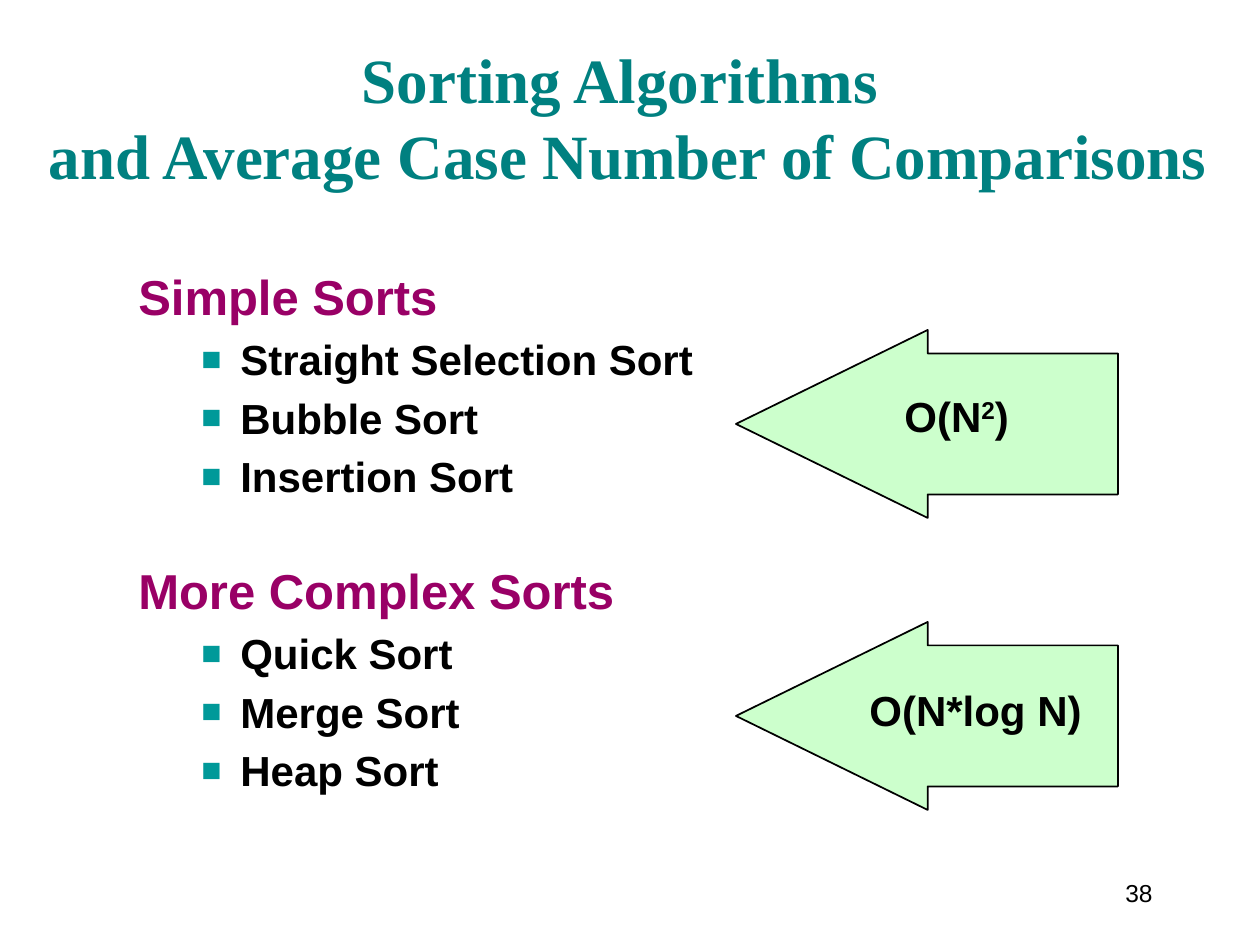
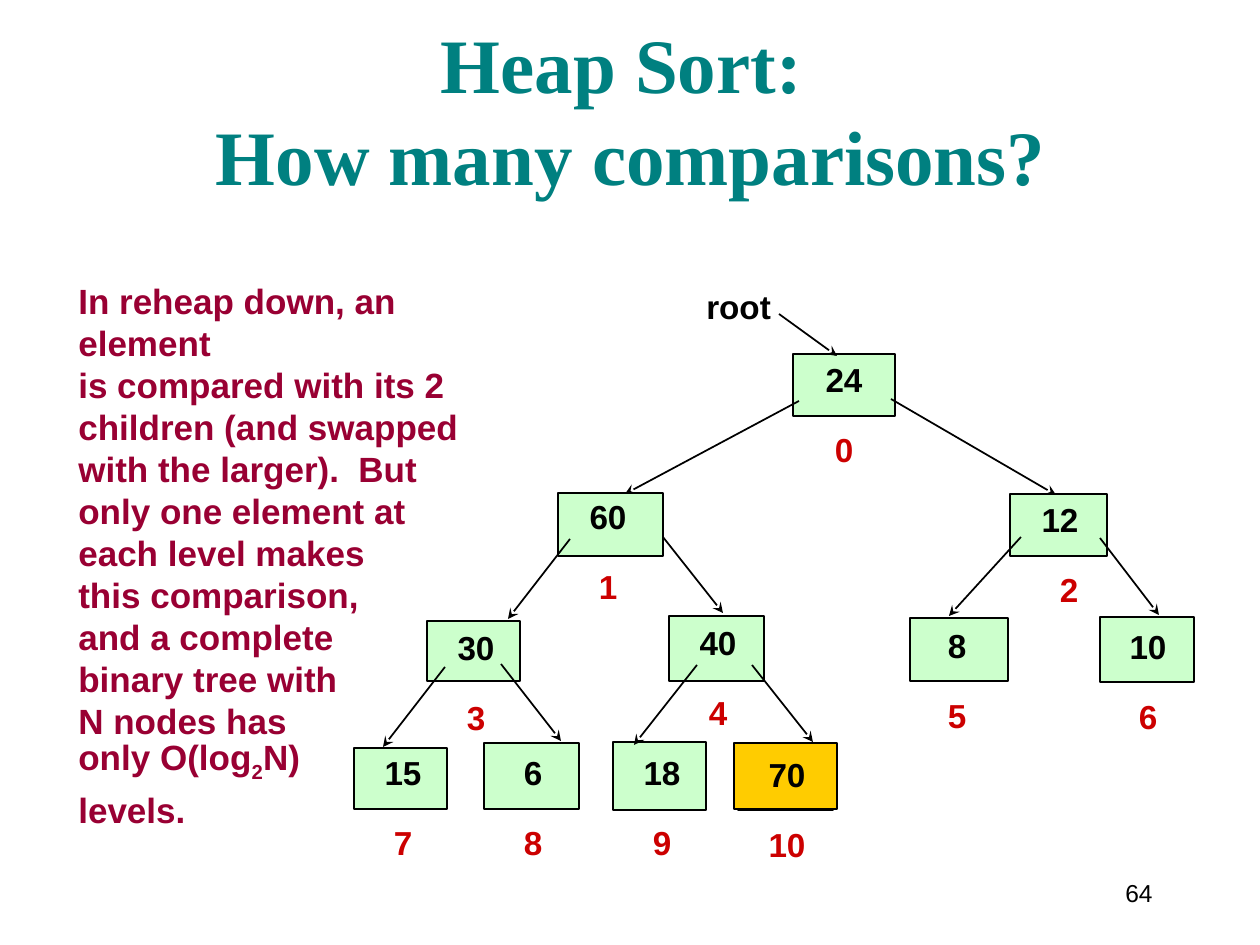
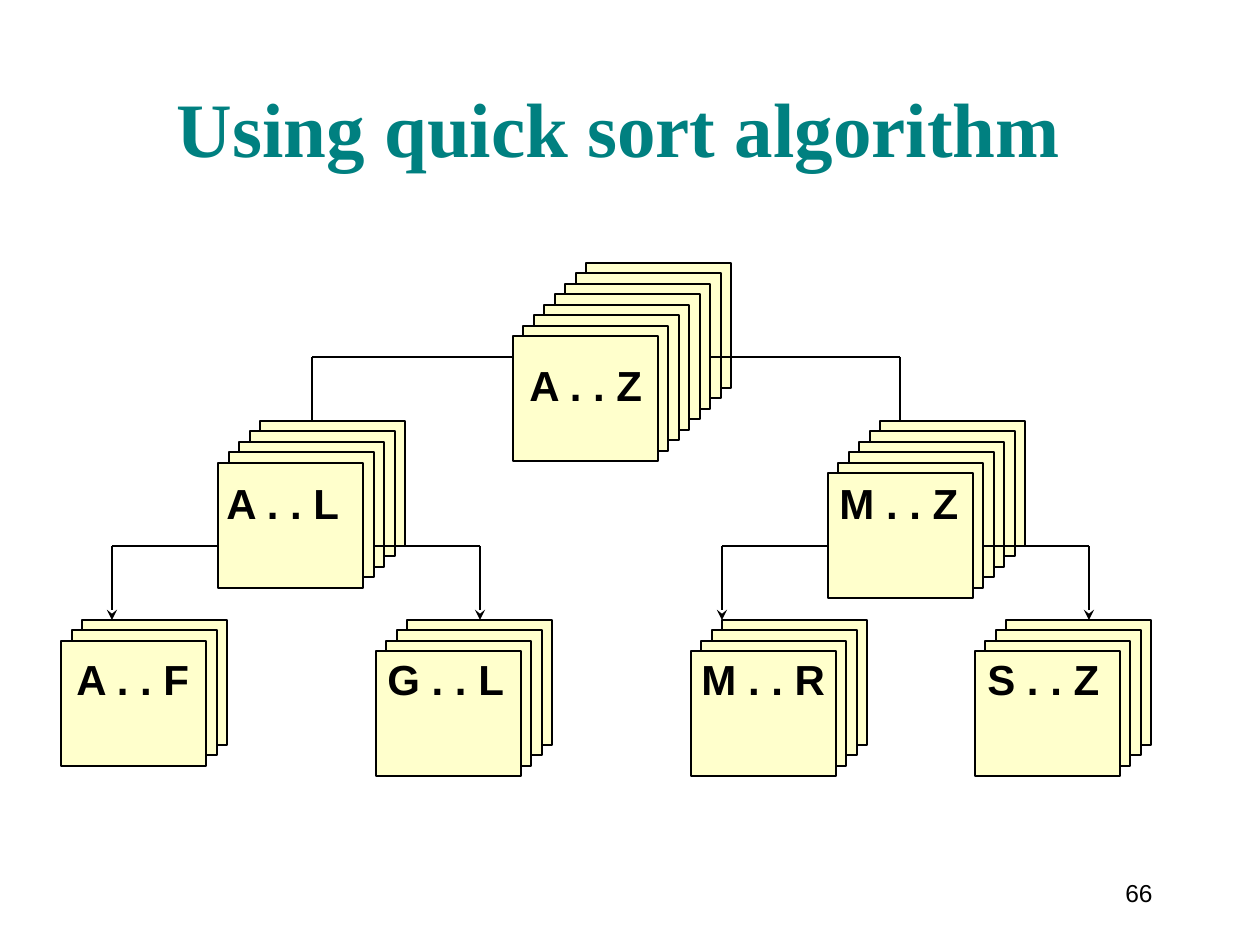
import pptx
import pptx.util
import pptx.dml.color
import pptx.enum.shapes
import pptx.enum.text
import pptx.oxml
import pptx.oxml.ns

PX = 914400 // 126
HUES = {"title": "008080", "head": "990066", "note": "990033", "ink": "000000",
        "index": "CC0000", "bullet": "009999", "node": "CCFFCC",
        "gold": "FFCC00", "card": "FFFFCC"}
SIDE = pptx.enum.text.PP_ALIGN
RISE = pptx.enum.text.MSO_ANCHOR
KIND = pptx.enum.shapes.MSO_SHAPE
WIRE = pptx.enum.shapes.MSO_CONNECTOR.STRAIGHT
Pt = pptx.util.Pt
tone = pptx.dml.color.RGBColor.from_string


def write(slide, box, rows, size, hue="ink", font="Arial", bold=True,
          side=SIDE.LEFT, rise=RISE.TOP):
    """Each row is a list of runs: (words, baseline shift); "\\n" breaks a line."""
    frame = slide.shapes.add_textbox(*[n * PX for n in box]).text_frame
    frame.word_wrap = True
    frame.vertical_anchor = rise
    for spot, row in enumerate(rows):
        line = frame.add_paragraph() if spot else frame.paragraphs[0]
        line.alignment = side
        line.line_spacing = Pt(size * 1.2)
        for words, shift in row:
            if words == "\n":
                line.add_line_break()
                continue
            run = line.add_run()
            run.text = words
            run.font.size = Pt(size)
            run.font.name = font
            run.font.bold = bold
            run.font.color.rgb = tone(HUES[hue])
            if shift:
                run.font._element.set("baseline", str(shift * 1000))
    return frame


def style(item, fill=None, tip=False):
    """Black outline for a shape or connector, with a fill or an arrowhead."""
    item.line.color.rgb = tone(HUES["ink"])
    item.line.width = Pt(1)
    if fill:
        item.fill.solid()
        item.fill.fore_color.rgb = tone(HUES[fill])
        item.shadow.inherit = False
    else:
        pptx.oxml.ns.qn("a:ln")
        props = item._element.spPr
        if tip:
            head = item.line._get_or_add_ln().makeelement(
                pptx.oxml.ns.qn("a:tailEnd"), {"type": "stealth"})
            item.line._get_or_add_ln().append(head)
        props.append(props.makeelement(pptx.oxml.ns.qn("a:effectLst"), {}))


deck = pptx.Presentation()
deck.slide_width = 1260 * PX
deck.slide_height = 945 * PX

# Titles and page numbers
heads = [
    ("38", (14, 30, 1228, 168), 36,
     ["Sorting Algorithms ", "\n", "and Average Case Number of Comparisons"]),
    ("64", (29, 49, 1204, 158), 44, ["Heap Sort: ", "\n", "How many comparisons?"]),
    ("66", (0, 32, 1238, 147), 44, ["Using quick sort algorithm"]),
]
pages = []
for number, box, size, words in heads:
    page = deck.slides.add_slide(deck.slide_layouts[6])
    write(page, box, [[(part, 0) for part in words]], size, "title",
          "Times New Roman", side=SIDE.CENTER, rise=RISE.BOTTOM)
    write(page, (1081, 861, 84, 63), [[(number, 0)]], 14, bold=False,
          side=SIDE.RIGHT, rise=RISE.MIDDLE)
    pages.append(page)
sorts, heap, quick = pages

# Sorting families: one list with bulleted names
names = ["Simple Sorts", "Straight Selection Sort", "Bubble Sort", "Insertion Sort",
         "More Complex Sorts", "Quick Sort", "Merge Sort", "Heap Sort"]
frame = write(sorts, (126, 260, 620, 577), [[(name, 0)] for name in names], 24)
for spot, line in enumerate(frame.paragraphs):
    if spot % 4 == 0:
        line.line_spacing = Pt(33.6)
        line.runs[0].font.size = Pt(28)
        line.runs[0].font.color.rgb = tone(HUES["head"])
        if spot:
            line.space_before = Pt(33.6)
        continue
    line.space_before = Pt(4.8)
    props = line._p.get_or_add_pPr()
    props.set("marL", str(102 * PX))
    props.set("indent", str(-39 * PX))
    space = pptx.oxml.ns.nsdecls("a")
    for mark in (f'<a:buClr {space}><a:srgbClr val="{HUES["bullet"]}"/></a:buClr>',
                 f'<a:buSzPct {space} val="80000"/>',
                 f'<a:buFont {space} typeface="Arial"/>',
                 f'<a:buChar {space} char="■"/>'):
        props.append(pptx.oxml.parse_xml(mark))

# Cost arrows
costs = [(330, 892, 384, [("O(N", 0), ("2", 30), (")", 0)]),
         (622, 857, 678, [("O(N*log N)", 0)])]
for top, left, base, runs in costs:
    arrow = sorts.shapes.add_shape(KIND.LEFT_ARROW, 736 * PX, top * PX,
                                   382 * PX, 188 * PX)
    arrow.adjustments[0] = 0.75
    arrow.adjustments[1] = 1.02
    style(arrow, "node")
    write(sorts, (left, base, 260, 64), [runs], 24)

# Heap boxes: left, top, width, height, fill
boxes = [
    (793, 354, 102, 62, "node"), (558, 493, 105, 63, "node"),
    (1010, 494, 97, 62, "node"), (427, 621, 93, 60, "node"),
    (669, 616, 95, 65, "node"), (910, 618, 98, 63, "node"),
    (1100, 617, 94, 65, "node"), (354, 748, 93, 61, "node"),
    (484, 743, 95, 66, "node"), (613, 742, 93, 68, "node"),
    (738, 744, 95, 66, "node"), (734, 743, 103, 66, "gold"),
]
for left, top, wide, high, fill in boxes:
    node = heap.shapes.add_shape(KIND.RECTANGLE, left * PX, top * PX,
                                 wide * PX, high * PX)
    style(node, fill)

# Heap arrows, parent to child
wires = [
    (779, 314, 837, 356), (799, 401, 625, 494), (891, 399, 1056, 495),
    (570, 539, 508, 619), (663, 537, 723, 613), (1021, 537, 949, 616),
    (1100, 538, 1159, 615), (445, 667, 383, 747), (501, 664, 561, 741),
    (697, 665, 634, 745), (752, 665, 813, 742),
]
for ends in wires:
    style(heap.shapes.add_connector(WIRE, *[n * PX for n in ends]), tip=True)

# Heap values with their indexes: value, middle, top, index middle
values = [
    ("24", 844, 353, 844), ("60", 608, 490, 608), ("12", 1060, 493, 1069),
    ("30", 476, 621, 476), ("40", 718, 616, 718), ("8", 957, 619, 957),
    ("10", 1148, 620, 1148), ("15", 403, 746, 403), ("6", 533, 746, 533),
    ("18", 662, 746, 662), ("70", 787, 748, 787),
]
for index, (value, mid, top, low) in enumerate(values):
    write(heap, (mid - 40, top, 80, 52), [[(value, 0)]], 19, side=SIDE.CENTER)
    write(heap, (low - 40, top + 70, 80, 52), [[(str(index), 0)]], 19, "index",
          side=SIDE.CENTER)
write(heap, (694, 280, 100, 52), [[("root", 0)]], 19)

# Explanation
lines = ["In reheap down, an element", "is compared with its 2",
         "children (and swapped", "with the larger).  But", "only one element at",
         "each level makes", "this comparison,", "and a complete",
         "binary tree with", "N nodes has"]
rows = [[(words, 0)] for words in lines]
rows += [[("only O(log", 0), ("2", -25), ("N)", 0)], [("levels.", 0)]]
frame = write(heap, (66, 273, 440, 560), rows, 20, "note")
frame.paragraphs[-1].space_before = Pt(3)

# Card stacks (label, left, top, count, label left, label top), then their arms
tiers = [
    ([("A . . Z", 586, 263, 8, 530, 353)], 357, [(512, 312), (711, 900)]),
    ([("M . . Z", 880, 421, 6, 840, 471), ("A . . L", 260, 421, 5, 227, 471),
      ("A . . F", 82, 620, 3, 77, 647), ("G . . L", 407, 620, 4, 388, 647),
      ("M . . R", 722, 620, 4, 702, 647), ("S . . Z", 1006, 620, 4, 988, 647)],
     546, [(984, 1089), (375, 480), (827, 722), (218, 112)]),
]
for stacks, level, arms in tiers:
    for label, left, top, count, edge, base in stacks:
        for depth in range(count):
            step = depth * 21 // 2
            card = quick.shapes.add_shape(KIND.RECTANGLE, (left - step) * PX,
                                          (top + step) * PX, 145 * PX, 125 * PX)
            style(card, "card")
        write(quick, (edge - 13, base, 170, 64), [[(label, 0)]], 24)
    for start, end in arms:
        for ends, tip in (((start, level, end, level), False),
                          ((end, level, end, level + 74), True)):
            style(quick.shapes.add_connector(WIRE, *[n * PX for n in ends]), tip=tip)

deck.save("out.pptx")
